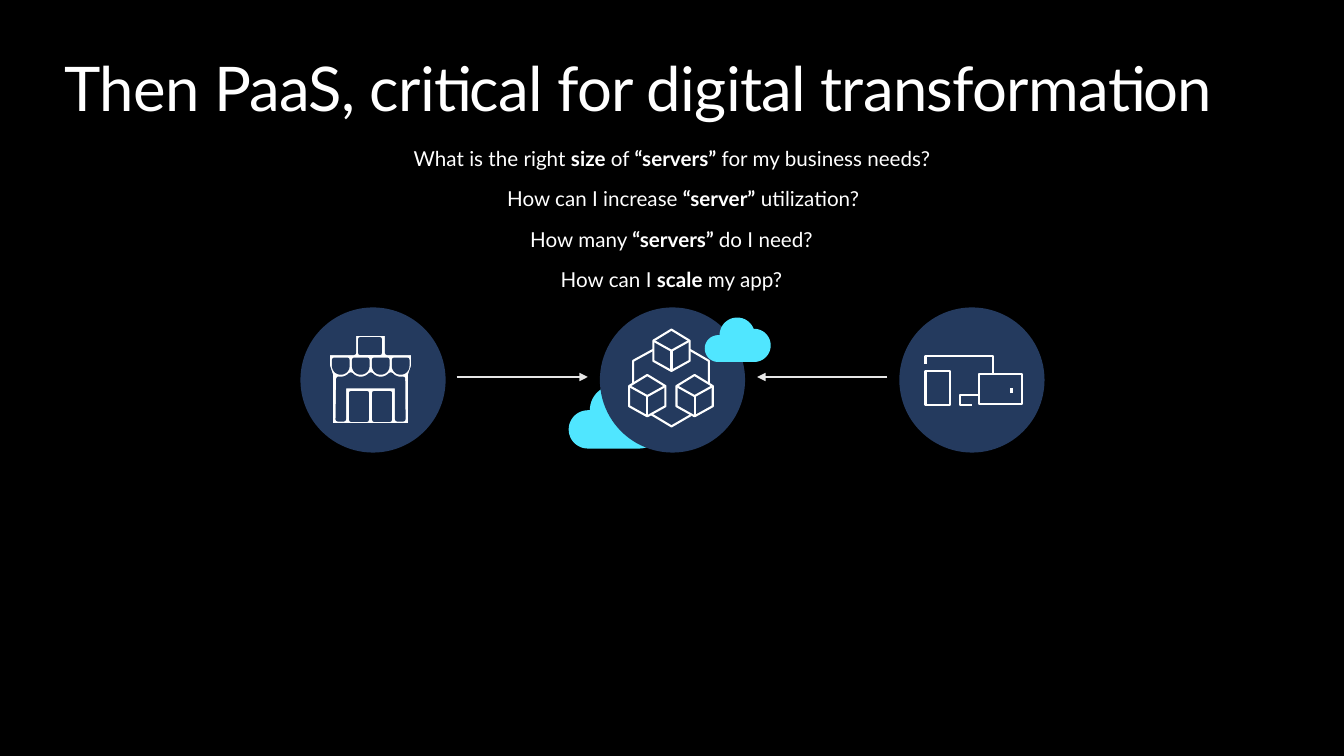
from math import cos, radians, sin

from lxml import etree
from pptx import Presentation, util as u
from pptx.dml.color import RGBColor
from pptx.enum import shapes as s, text as t
from pptx.oxml import ns

# Content
TITLE = "Then PaaS, critical for digital transformation"
QUESTIONS = [  # left, width, runs as (text, bold)
    (3.61, 6.11, [("What is the right ", False), ("size", True), (" of ", False),
                  ("“servers”", True), (" for my business needs?", False)]),
    (4.58, 4.39, [("How can I increase", False), (" “server”", True),
                  (" utilization?", False)]),
    (4.59, 4.14, [("How many ", False), ("“servers” ", True), ("do I need?", False)]),
    (5.43, 2.46, [("How can I ", False), ("scale", True), (" my app?", False)]),
]
QUESTION_TOP, QUESTION_STEP = 1.4, 0.4
CIRCLE_LEFT = {"cubes": 5.95, "store": 2.98, "devices": 8.92}
CIRCLE_TOP, CIRCLE_SIZE = 3.05, 1.44
CUBE_TOPS = [(6.89, 3.72), (6.42, 3.72), (6.66, 3.27)]
CUBE_LINKS = [
    [(6.85, 4.12), (6.66, 4.23), (6.46, 4.11)],
    [(6.84, 3.47), (7.03, 3.58), (7.03, 3.8)],
    [(6.28, 3.8), (6.28, 3.58), (6.48, 3.47)],
]
SCREENS = [(9.18, 3.68, 0.24, 0.34), (9.71, 3.71, 0.43, 0.3)]
DEVICE_LINES = [
    [(9.71, 3.92), (9.52, 3.92), (9.52, 4.02), (9.64, 4.02)],
    [(9.18, 3.61), (9.18, 3.53), (9.85, 3.53), (9.85, 3.71)],
]
ARROWS = [(4.53, 5.83), (8.8, 7.51)]
ARROW_Y = 3.74
CLOUD_ARCS = [  # centre x, centre y, radius, first and last angle
    (0.46, 0.25, 0.25, 180, 340),
    (0.7, 0.395, 0.235, 270, 450),
    (0.19, 0.44, 0.19, 90, 270),
]

FONT = "Lato"
BLACK = RGBColor(0x00, 0x00, 0x00)
WHITE = RGBColor(0xFF, 0xFF, 0xFF)
NAVY = RGBColor(0x24, 0x3A, 0x5E)
CYAN = RGBColor(0x50, 0xE6, 0xFF)
GREY = RGBColor(0xE6, 0xE6, 0xE6)


def inch(value):
    return u.Cm(value * 2.54)


def arc(x, y, radius, first, last, steps=24):
    angles = [radians(first + (last - first) * i / steps) for i in range(steps + 1)]
    return [(x + radius * cos(a), y + radius * sin(a)) for a in angles]


def box_outline(left, top, right, bottom):
    return [(left, top), (right, top), (right, bottom), (left, bottom)]


def paint(shape, fill=None, line=None, width=1.5):
    shape.shadow.inherit = False
    if fill is None:
        shape.fill.background()
    else:
        shape.fill.solid()
        shape.fill.fore_color.rgb = fill
    if line is None:
        shape.line.fill.background()
    else:
        shape.line.color.rgb = line
        shape.line.width = u.Pt(width)


def add_outline(shapes, contours, close=True, **style):
    contours = [[(inch(x), inch(y)) for x, y in points] for points in contours]
    builder = shapes.build_freeform(*contours[0][0], scale=1.0)
    for index, points in enumerate(contours):
        if index:
            builder.move_to(*points[0])
        builder.add_line_segments(points[1:], close=close)
    paint(builder.convert_to_shape(), **style)


def add_preset(shapes, kind, place, **style):
    paint(shapes.add_shape(kind, *map(inch, place)), **style)


def add_line(shapes, start, end, color=WHITE, width=1.5, arrow=False):
    line = shapes.add_connector(s.MSO_CONNECTOR.STRAIGHT, *map(inch, start + end))
    line.line.color.rgb = color
    line.line.width = u.Pt(width)
    if arrow:
        etree.SubElement(line.line._get_or_add_ln(), ns.qn("a:tailEnd"), type="triangle")
    etree.SubElement(line._element.spPr, ns.qn("a:effectLst"))


def add_text(place, runs, size, align=None, margin=None, spacing=None):
    frame = slide.shapes.add_textbox(*map(inch, place)).text_frame
    frame.word_wrap = True
    frame.auto_size = t.MSO_AUTO_SIZE.SHAPE_TO_FIT_TEXT
    if margin is not None:
        frame.margin_left = frame.margin_right = u.Cm(margin)
        frame.margin_top = frame.margin_bottom = u.Cm(margin)
    paragraph = frame.paragraphs[0]
    paragraph.alignment = align
    for words, bold in runs:
        run = paragraph.add_run()
        run.text = words
        run.font.name = FONT
        run.font.size = u.Pt(size)
        run.font.bold = bold
        run.font.color.rgb = WHITE
        if spacing is not None:
            run.font._element.set("spc", str(spacing))


def add_cloud(left, top, scale):
    points = [p for piece in CLOUD_ARCS for p in arc(*piece)]
    points = [(left + x * scale, top + y * scale) for x, y in points]
    add_outline(slide.shapes, [points], fill=CYAN)


def add_circle(name):
    group = slide.shapes.add_group_shape().shapes
    add_preset(group, s.MSO_SHAPE.OVAL,
               (CIRCLE_LEFT[name], CIRCLE_TOP, CIRCLE_SIZE, CIRCLE_SIZE), fill=NAVY)
    return group


def add_cube(shapes, x, y):
    left, right = x - 0.18, x + 0.18
    add_outline(shapes, [[(left, y + 0.11), (x, y), (right, y + 0.11),
                          (right, y + 0.31), (x, y + 0.41), (left, y + 0.31)]], line=WHITE)
    add_outline(shapes, [[(right, y + 0.11), (x, y + 0.21), (left, y + 0.11)]],
                close=False, line=WHITE)
    add_line(shapes, (x, y + 0.21), (x, y + 0.41))


def add_store(shapes):
    facade = [(3.28, 4.22), (4.07, 4.22), (4.07, 3.72), (4.1, 3.63), (4.1, 3.5),
              (3.84, 3.5), (3.84, 3.31), (3.51, 3.31), (3.51, 3.5), (3.25, 3.5),
              (3.25, 3.63), (3.28, 3.72)]
    wall = [(3.94, 4.16), (3.94, 3.83), (3.41, 3.83), (3.41, 4.16), (3.35, 4.16)]
    holes = [box_outline(3.48, 3.9, 3.64, 4.16), box_outline(3.71, 3.9, 3.87, 4.16),
             box_outline(3.57, 3.37, 3.77, 3.5)]
    for index in range(4):
        x = 3.38 + 0.2 * index - 0.002 * index
        holes.append([(x - 0.065, 3.57), (x + 0.065, 3.57)]
                     + arc(x, 3.63, 0.065, 0, 180))
        first = 100 if index == 0 else 138
        last = 80 if index == 3 else 42
        wall += arc(x, 3.63, 0.13, first, last)
    wall.append((4, 4.16))
    add_outline(shapes, [facade, wall] + holes, fill=WHITE, line=NAVY, width=3.25)


presentation = Presentation()
presentation.slide_width, presentation.slide_height = inch(13.33), inch(7.5)
slide = presentation.slides.add_slide(presentation.slide_layouts[6])
slide.background.fill.solid()
slide.background.fill.fore_color.rgb = BLACK

# Rear cloud and title
add_cloud(5.64, 3.82, 1)
add_text((0.64, 0.5, 12.05, 0.74), [(TITLE, False)], 44, margin=0, spacing=-50)

# Cubes
cubes = add_circle("cubes")
for cube_x, cube_y in CUBE_TOPS:
    add_cube(cubes, cube_x, cube_y)
for link in CUBE_LINKS:
    add_outline(cubes, [link], close=False, line=WHITE)

# Store
add_store(add_circle("store"))

# Devices
devices = add_circle("devices")
for screen in SCREENS:
    add_preset(devices, s.MSO_SHAPE.RECTANGLE, screen, line=WHITE)
add_line(devices, (10.03, 3.9), (10.03, 3.85), width=2)
for points in DEVICE_LINES:
    add_outline(devices, [points], close=False, line=WHITE)

# Arrows and front cloud
for start_x, end_x in ARROWS:
    add_line(slide.shapes, (start_x, ARROW_Y), (end_x, ARROW_Y), GREY, 2, arrow=True)
add_cloud(6.99, 3.15, 0.7)

# Questions
for row, (left, width, runs) in enumerate(QUESTIONS):
    add_text((left, QUESTION_TOP + row * QUESTION_STEP, width, 0.35), runs, 14.7,
             align=t.PP_ALIGN.CENTER)

presentation.save("out.pptx")
